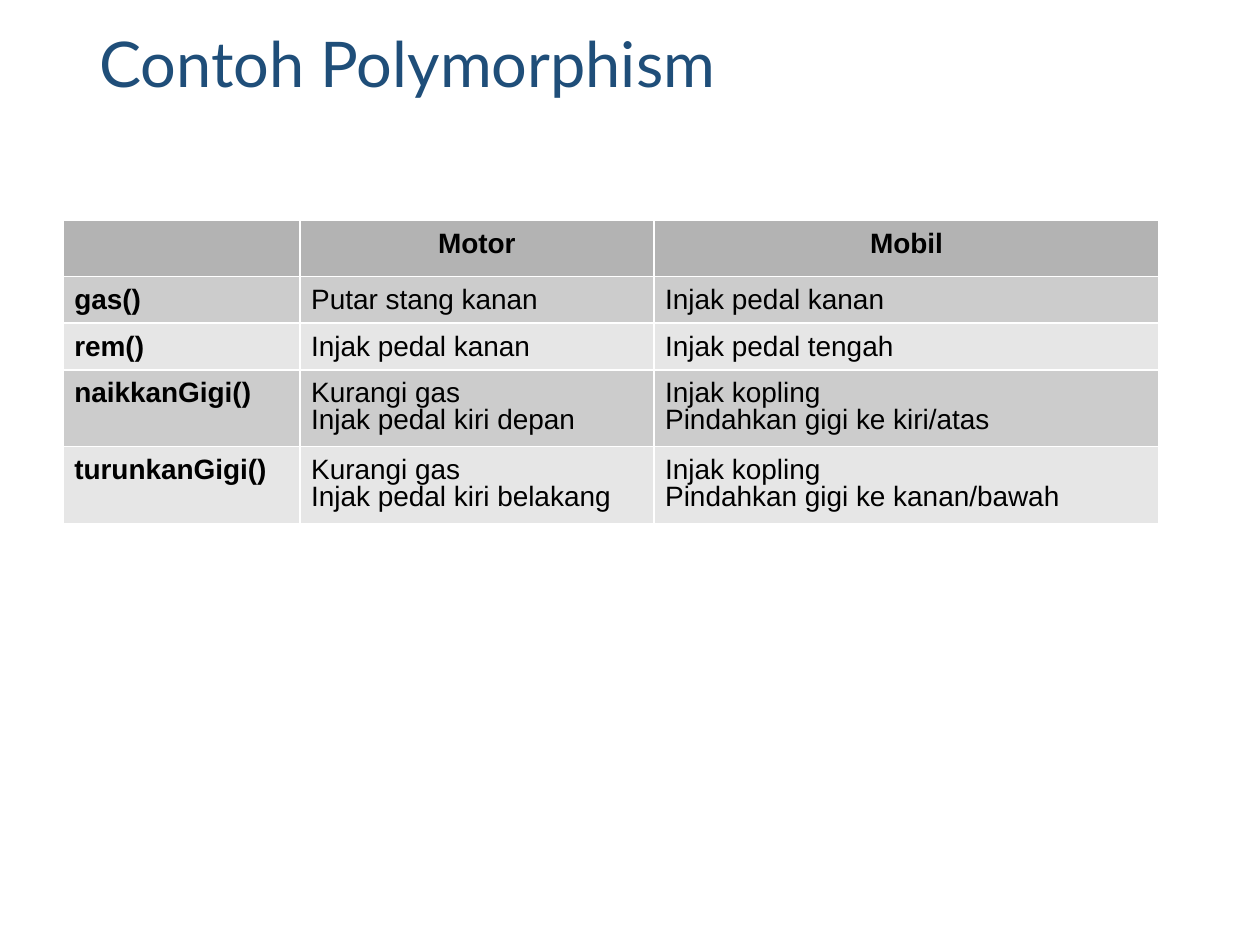
from dataclasses import dataclass

from pptx import Presentation
from pptx.dml.color import RGBColor
from pptx.enum.text import MSO_ANCHOR, MSO_AUTO_SIZE, PP_ALIGN
from pptx.slide import Slide
from pptx.table import _Cell
from pptx.text.text import _Paragraph
from pptx.util import Inches, Pt

COLORS = {
    "title": "1F4E79",
    "text": "000000",
    "head": "B3B3B3",
    "odd": "CCCCCC",
    "even": "E6E6E6",
}
WIDTHS = (1.88, 2.81, 4.01)


@dataclass
class Row:
    name: str
    motor: tuple[str, ...]
    mobil: tuple[str, ...]
    high: float = 0.37


HEAD = Row("", ("Motor",), ("Mobil",))
ROWS = [
    Row("gas()", ("Putar stang kanan",), ("Injak pedal kanan",)),
    Row("rem()", ("Injak pedal kanan",), ("Injak pedal tengah",)),
    Row("naikkanGigi()", ("Kurangi gas", "Injak pedal kiri depan"),
        ("Injak kopling", "Pindahkan gigi ke kiri/atas"), 0.61),
    Row("turunkanGigi()", ("Kurangi gas", "Injak pedal kiri belakang"),
        ("Injak kopling", "Pindahkan gigi ke kanan/bawah"), 0.61),
]


def add_run(para: _Paragraph, text: str, size: float, face: str,
            color: str, bold: bool = False) -> None:
    run = para.add_run()
    run.text = text
    run.font.size = Pt(size)
    run.font.name = face
    run.font.bold = bold
    run.font.color.rgb = RGBColor.from_string(COLORS[color])


def add_title(slide: Slide, text: str) -> None:
    title = slide.shapes.title
    title.left, title.top = Inches(0.69), Inches(0.17)
    title.width, title.height = Inches(8.62), Inches(0.73)
    frame = title.text_frame
    frame.auto_size = MSO_AUTO_SIZE.NONE
    frame.vertical_anchor = MSO_ANCHOR.MIDDLE
    para = frame.paragraphs[0]
    para.alignment = PP_ALIGN.LEFT
    para.line_spacing = 0.9
    add_run(para, text, 36, "Lato", "title")


def fill_cell(cell: _Cell, lines: tuple[str, ...], fill: str,
              bold: bool, align: PP_ALIGN) -> None:
    cell.fill.solid()
    cell.fill.fore_color.rgb = RGBColor.from_string(COLORS[fill])
    cell.margin_left = cell.margin_right = cell.margin_top = Inches(0.09)
    cell.margin_bottom = Inches(0.05)
    frame = cell.text_frame
    for i, line in enumerate(lines):
        para = frame.add_paragraph() if i else frame.paragraphs[0]
        para.alignment = align
        para.line_spacing = 0.87
        if line:
            add_run(para, line, 16, "Arial", "text", bold)


def add_grid(slide: Slide, rows: list[Row]) -> None:
    high = sum(row.high for row in rows)
    table = slide.shapes.add_table(
        len(rows), len(WIDTHS), Inches(0.5), Inches(1.75),
        Inches(sum(WIDTHS)), Inches(high)).table
    for col, width in zip(table.columns, WIDTHS):
        col.width = Inches(width)
    for r, row in enumerate(rows):
        table.rows[r].height = Inches(row.high)
        fill = "head" if r == 0 else "odd" if r % 2 else "even"
        align = PP_ALIGN.LEFT if r else PP_ALIGN.CENTER
        for c, lines in enumerate(((row.name,), row.motor, row.mobil)):
            fill_cell(table.cell(r, c), lines, fill, r == 0 or c == 0, align)


def main() -> None:
    deck = Presentation()
    deck.slide_width, deck.slide_height = Inches(10), Inches(7.5)
    slide = deck.slides.add_slide(deck.slide_layouts[5])

    # Title
    add_title(slide, "Contoh Polymorphism")

    # Methods compared by vehicle
    add_grid(slide, [HEAD, *ROWS])

    deck.save("out.pptx")


if __name__ == "__main__":
    main()
